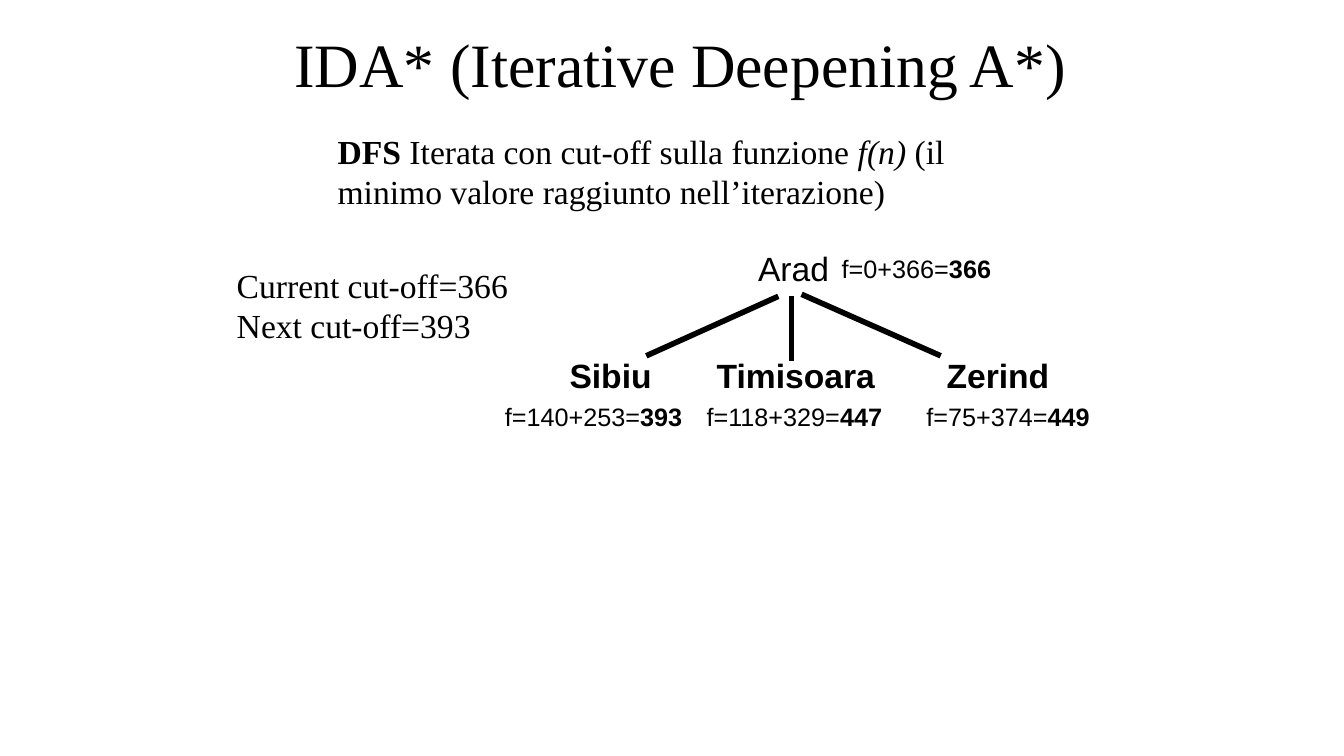
from dataclasses import dataclass

from lxml import etree
from pptx import Presentation
from pptx.dml.color import RGBColor
from pptx.enum.shapes import MSO_CONNECTOR
from pptx.enum.text import MSO_ANCHOR, MSO_AUTO_SIZE, PP_ALIGN
from pptx.oxml.ns import qn
from pptx.slide import Slide
from pptx.text.text import _Paragraph
from pptx.util import Emu, Pt

STRAIGHT = MSO_CONNECTOR.STRAIGHT
MIDDLE = MSO_ANCHOR.MIDDLE
CENTER = PP_ALIGN.CENTER
FIT_SHAPE, NO_FIT = MSO_AUTO_SIZE.SHAPE_TO_FIT_TEXT, MSO_AUTO_SIZE.NONE
TITLE_ONLY = 5
EMU_PER_PX = 9144  # 100 px to the inch


@dataclass(frozen=True)
class Theme:
    ink: RGBColor = RGBColor(0, 0, 0)
    serif: str = "Times New Roman"
    sans: str = "Arial"
    title: int = 44
    body: int = 24
    cost: int = 18
    edge: int = 4
    space_before: int = 15
    tree_spacing: float = 0.9


@dataclass(frozen=True)
class Box:
    left: int
    top: int
    width: int
    height: int


@dataclass(frozen=True)
class Span:
    text: str
    bold: bool = False
    italic: bool = False


@dataclass(frozen=True)
class Node:
    city: Span
    city_box: Box
    g: int
    h: int
    cost_box: Box


@dataclass(frozen=True)
class Edge:
    x1: int
    y1: int
    x2: int
    y2: int


@dataclass(frozen=True)
class Note:
    box: Box
    spans: tuple[Span, ...]


THEME = Theme()
CITY_TOP, CITY_H = 352, 46
COST_TOP, COST_H = 397, 37

TITLE = "IDA* (Iterative Deepening A*)"
TITLE_BOX = Box(250, 0, 850, 125)


def child(city: str, left: int, width: int, g: int, h: int,
          cost_left: int, cost_width: int) -> Node:
    return Node(Span(city, bold=True), Box(left, CITY_TOP, width, CITY_H),
                g, h, Box(cost_left, COST_TOP, cost_width, COST_H))


NODES = (
    Node(Span("Arad"), Box(742, 246, 91, CITY_H),
         0, 366, Box(825, 250, 169, COST_H)),
    child("Sibiu", 555, 102, 140, 253, 491, 197),
    child("Timisoara", 701, 178, 118, 329, 691, 195),
    child("Zerind", 929, 123, 75, 374, 909, 183),
)
EDGES = (
    Edge(772, 294, 641, 353),
    Edge(785, 294, 785, 358),
    Edge(795, 292, 933, 353),
)
NOTES = (
    Note(Box(225, 258, 317, 90),
         (Span("Current cut-off=366 Next cut-off=393"),)),
    Note(Box(325, 125, 658, 90), (
        Span("DFS ", bold=True),
        Span("Iterata con cut-off sulla funzione "),
        Span("f(n) ", italic=True),
        Span("(il minimo valore raggiunto nell’iterazione)"),
    )),
)


def px(value: int) -> Emu:
    return Emu(value * EMU_PER_PX)


def add_spans(p: _Paragraph, spans: tuple[Span, ...], font: str, size: int) -> None:
    for span in spans:
        r = p.add_run()
        r.text = span.text
        r.font.name, r.font.size = font, Pt(size)
        r.font.bold, r.font.italic = span.bold, span.italic
        r.font.color.rgb = THEME.ink


def add_text(s: Slide, box: Box, spans: tuple[Span, ...], font: str,
             size: int, wrap: bool) -> _Paragraph:
    sp = s.shapes.add_textbox(px(box.left), px(box.top), px(box.width), px(box.height))
    tf = sp.text_frame
    tf.word_wrap = wrap
    tf.auto_size = FIT_SHAPE
    p = tf.paragraphs[0]
    add_spans(p, spans, font, size)
    return p


def add_title(s: Slide) -> None:
    sp = s.shapes.title
    sp.left, sp.top = px(TITLE_BOX.left), px(TITLE_BOX.top)
    sp.width, sp.height = px(TITLE_BOX.width), px(TITLE_BOX.height)
    tf = sp.text_frame
    tf.vertical_anchor = MIDDLE
    tf.auto_size = NO_FIT
    p = tf.paragraphs[0]
    p.alignment = CENTER
    add_spans(p, (Span(TITLE),), THEME.serif, THEME.title)


def add_node(s: Slide, node: Node) -> None:
    """Write a city and its cost f = g + h."""
    cost = (Span(f"f={node.g}+{node.h}="), Span(str(node.g + node.h), bold=True))
    for box, spans, size in ((node.city_box, (node.city,), THEME.body),
                             (node.cost_box, cost, THEME.cost)):
        p = add_text(s, box, spans, THEME.sans, size, wrap=False)
        p.line_spacing = THEME.tree_spacing


def add_edge(s: Slide, edge: Edge) -> None:
    line = s.shapes.add_connector(STRAIGHT, px(edge.x1), px(edge.y1),
                                  px(edge.x2), px(edge.y2))
    line.line.color.rgb = THEME.ink
    line.line.width = Pt(THEME.edge)
    etree.SubElement(line._element.spPr, qn("a:effectLst"))


def add_note(s: Slide, note: Note) -> None:
    p = add_text(s, note.box, note.spans, THEME.serif, THEME.body, wrap=True)
    p.space_before = Pt(THEME.space_before)


def main() -> None:
    prs = Presentation()
    prs.slide_width, prs.slide_height = px(1333), px(750)
    s = prs.slides.add_slide(prs.slide_layouts[TITLE_ONLY])
    add_title(s)
    for node in NODES:
        add_node(s, node)
    for edge in EDGES:
        add_edge(s, edge)
    for note in NOTES:
        add_note(s, note)
    prs.save("out.pptx")


if __name__ == "__main__":
    main()
